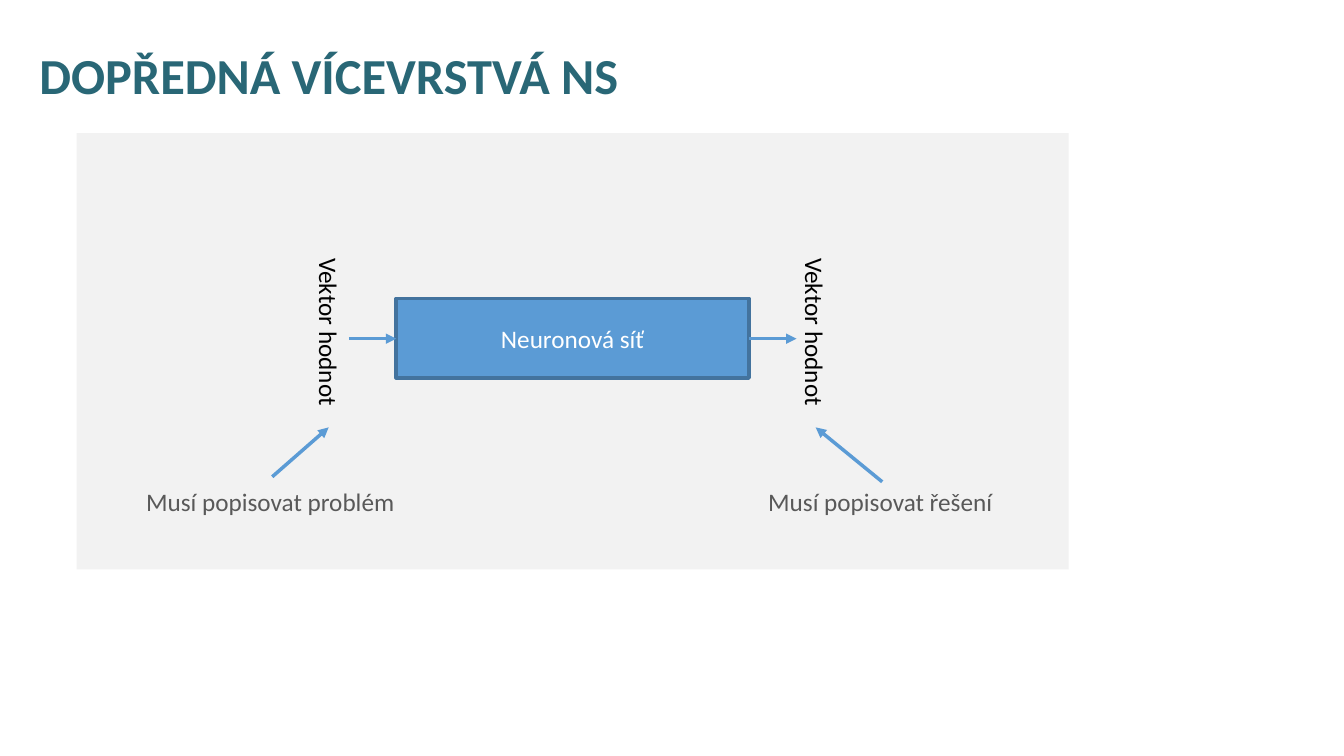
from dataclasses import dataclass

from lxml.etree import SubElement
from pptx import Presentation
from pptx.dml.color import RGBColor
from pptx.enum.shapes import MSO_CONNECTOR, MSO_SHAPE
from pptx.enum.text import MSO_ANCHOR, MSO_AUTO_SIZE, PP_ALIGN
from pptx.oxml.ns import qn
from pptx.shapes.autoshape import Shape
from pptx.slide import Slide
from pptx.text.text import TextFrame
from pptx.util import Emu, Pt

EMU_PER_PX = 9144  # 100 px to the inch


@dataclass(frozen=True)
class Theme:
    font: str = "Calibri"
    title: str = "296776"
    panel: str = "F2F2F2"
    accent: str = "5B9BD5"
    border: str = "43739E"
    on_accent: str = "FFFFFF"
    vector: str = "000000"
    note: str = "595959"
    title_pt: int = 36
    body_pt: int = 18
    line_pt: float = 2.5


@dataclass(frozen=True)
class Box:
    left: int
    top: int
    width: int
    height: int

    def emu(self) -> tuple[Emu, Emu, Emu, Emu]:
        return px(self.left), px(self.top), px(self.width), px(self.height)


@dataclass(frozen=True)
class Label:
    text: str
    box: Box
    color: str
    rotation: int = 0


@dataclass(frozen=True)
class Arrow:
    x1: int
    y1: int
    x2: int
    y2: int


THEME = Theme()
TITLE_BOX = Box(29, 21, 1244, 113)
PANEL = Box(76, 132, 984, 433)
NETWORK = Box(393, 296, 350, 79)
NETWORK_RIGHT = NETWORK.left + NETWORK.width
FLOW_Y = 336
FLOW_LENGTH = 47
VECTOR_BOTTOM = 424

ARROWS = [
    Arrow(NETWORK.left - FLOW_LENGTH, FLOW_Y, NETWORK.left, FLOW_Y),
    Arrow(NETWORK_RIGHT, FLOW_Y, NETWORK_RIGHT + FLOW_LENGTH, FLOW_Y),
    Arrow(270, 473, 326, VECTOR_BOTTOM),
    Arrow(875, 478, 809, VECTOR_BOTTOM),
]
LABELS = [
    Label("Vektor hodnot", Box(238, 315, 177, 40), THEME.vector, 90),
    Label("Vektor hodnot", Box(720, 315, 177, 40), THEME.vector, 90),
    Label("Musí popisovat problém", Box(135, 478, 269, 40), THEME.note),
    Label("Musí popisovat řešení", Box(752, 478, 245, 40), THEME.note),
]


def px(n: int) -> Emu:
    return Emu(n * EMU_PER_PX)


def rgb(color: str) -> RGBColor:
    return RGBColor.from_string(color)


def write(tf: TextFrame, text: str, size: int, color: str,
          align: PP_ALIGN = PP_ALIGN.LEFT, bold: bool = False) -> None:
    p = tf.paragraphs[0]
    p.alignment = align
    r = p.add_run()
    r.text = text
    r.font.name = THEME.font
    r.font.size = Pt(size)
    r.font.bold = bold
    r.font.color.rgb = rgb(color)


def set_title(slide: Slide, text: str) -> None:
    sp = slide.shapes.title
    sp.left, sp.top, sp.width, sp.height = TITLE_BOX.emu()
    tf = sp.text_frame
    tf.auto_size = MSO_AUTO_SIZE.NONE
    tf.vertical_anchor = MSO_ANCHOR.MIDDLE
    write(tf, text, THEME.title_pt, THEME.title, bold=True)
    tf.paragraphs[0].line_spacing = 0.9


def add_block(slide: Slide, kind: MSO_SHAPE, box: Box, fill: str) -> Shape:
    """Add a filled shape without outline or shadow."""
    sp = slide.shapes.add_shape(kind, *box.emu())
    sp.shadow.inherit = False
    sp.fill.solid()
    sp.fill.fore_color.rgb = rgb(fill)
    sp.line.fill.background()
    return sp


def add_network(slide: Slide) -> None:
    sp = add_block(slide, MSO_SHAPE.FLOWCHART_PROCESS, NETWORK, THEME.accent)
    sp.line.color.rgb = rgb(THEME.border)
    sp.line.width = Pt(THEME.line_pt)
    sp.text_frame.vertical_anchor = MSO_ANCHOR.MIDDLE
    write(sp.text_frame, "Neuronová síť", THEME.body_pt, THEME.on_accent,
          PP_ALIGN.CENTER)


def add_arrow(slide: Slide, arrow: Arrow) -> None:
    ends = (px(n) for n in (arrow.x1, arrow.y1, arrow.x2, arrow.y2))
    cxn = slide.shapes.add_connector(MSO_CONNECTOR.STRAIGHT, *ends)
    cxn.line.color.rgb = rgb(THEME.accent)
    cxn.line.width = Pt(THEME.line_pt)
    sp_pr = cxn._element.spPr
    SubElement(sp_pr.find(qn("a:ln")), qn("a:tailEnd"), type="triangle")
    SubElement(sp_pr, qn("a:effectLst"))


def add_label(slide: Slide, label: Label) -> None:
    sp = slide.shapes.add_textbox(*label.box.emu())
    sp.rotation = label.rotation
    tf = sp.text_frame
    tf.word_wrap = label.rotation != 0
    tf.auto_size = MSO_AUTO_SIZE.SHAPE_TO_FIT_TEXT
    write(tf, label.text, THEME.body_pt, label.color)


def main() -> None:
    prs = Presentation()
    prs.slide_width, prs.slide_height = px(1333), px(750)
    slide = prs.slides.add_slide(prs.slide_layouts.get_by_name("Title Only"))
    set_title(slide, "DOPŘEDNÁ VÍCEVRSTVÁ NS")
    add_block(slide, MSO_SHAPE.RECTANGLE, PANEL, THEME.panel)
    add_network(slide)
    for arrow in ARROWS:
        add_arrow(slide, arrow)
    for label in LABELS:
        add_label(slide, label)
    prs.save("out.pptx")


if __name__ == "__main__":
    main()
